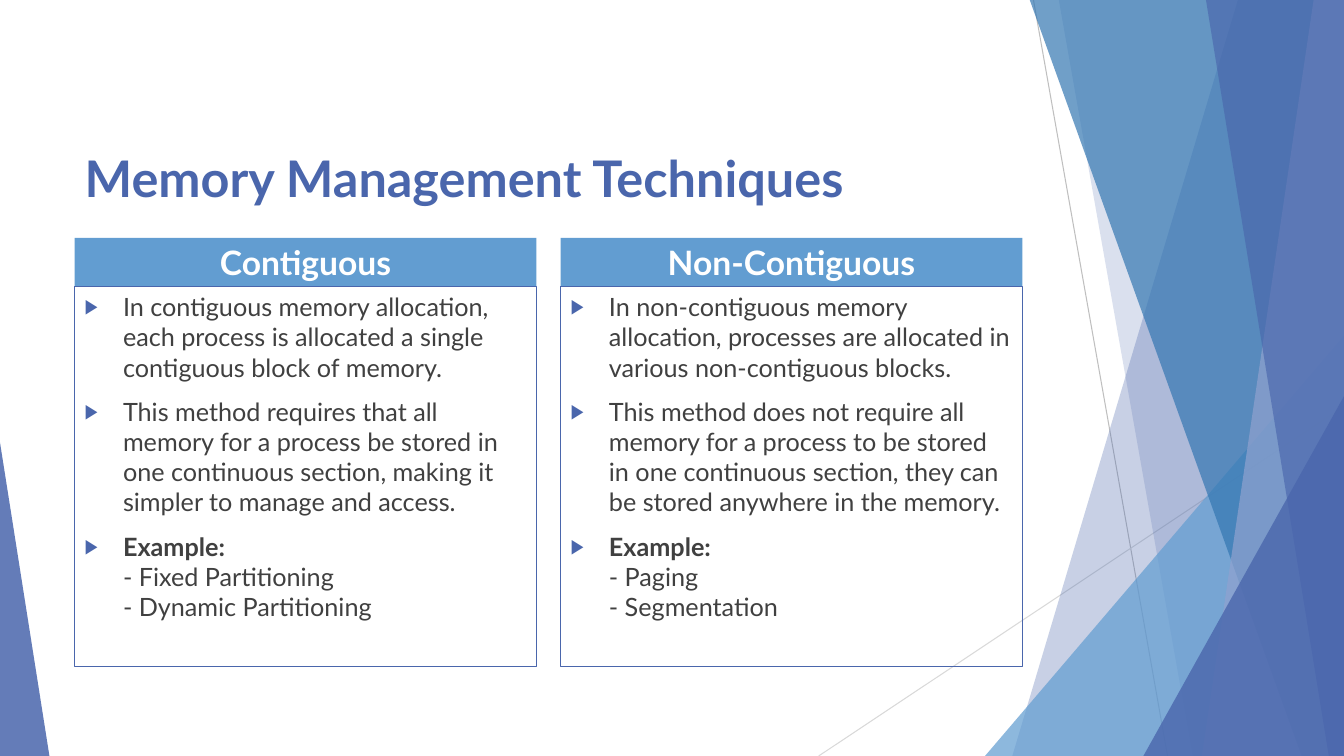
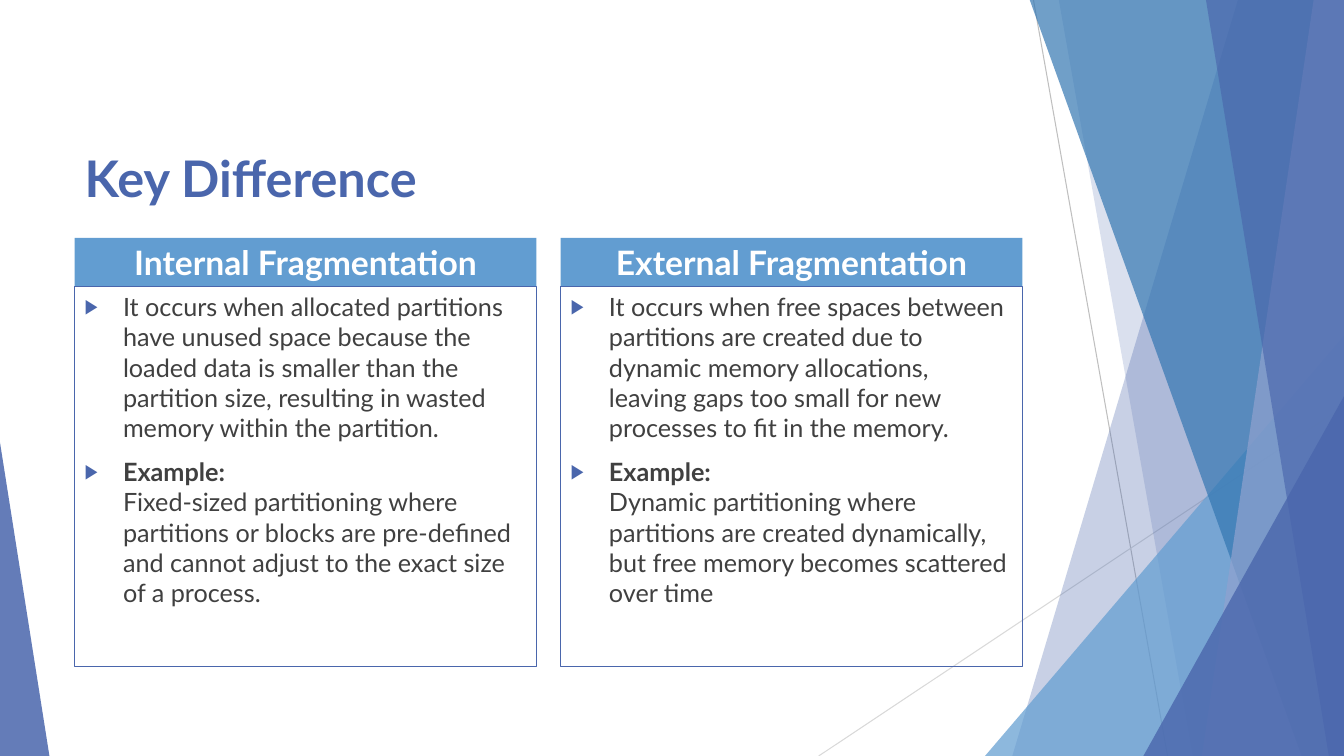
from lxml import etree
from pptx import Presentation
from pptx.dml.color import RGBColor
from pptx.enum.shapes import MSO_CONNECTOR, MSO_SHAPE
from pptx.enum.text import MSO_ANCHOR, MSO_AUTO_SIZE, PP_ALIGN
from pptx.oxml.ns import qn
from pptx.util import Inches, Pt

COLORS = {
    "blue": "4A66AC",
    "sky": "629DD1",
    "ocean": "3477B2",
    "lavender": "90A2CF",
    "text": "404040",
    "white": "FFFFFF",
    "gray": "BFBFBF",
    "light gray": "D9D9D9",
}
FONT = "Lato"
WIDTH, HEIGHT = 13.33, 7.5
BAND_TOP = -0.01
LEFT, COLUMN_WIDTH, COLUMN_STEP = 0.74, 4.58, 4.82
HEADING_TOP, HEADING_HEIGHT, LIST_HEIGHT = 2.36, 0.48, 3.77
LIST_SIZE = 18

# Bands: x at the top, x at the bottom. Triangles: left, top, width, apex.
FACETS = [
    ("band", (12.28, 10.04), "blue", 30),
    ("band", (10.5, 11.83), "blue", 20),
    ("triangle", (9.77, 3.33, 3.56, 1), "sky", 72),
    ("band", (10.21, 12.91), "ocean", 70),
    ("band", (13.03, 11.92), "lavender", 70),
    ("band", (11.96, 13.18), "blue", 65),
    ("triangle", (11.34, 3.93, 1.99, 1), "blue", 80),
    ("triangle", (0, 4.39, 0.49, 0), "blue", 85),
]
RAYS = [
    ((10.25, 0), (11.58, HEIGHT), "gray"),
    ((WIDTH, 4.03), (8.12, HEIGHT), "light gray"),
]

# Each slide: title, then columns of heading and list; \v breaks a line.
SLIDES = [
    ("Memory Management Techniques", [
        ("Contiguous", [
            "In contiguous memory allocation, each process is allocated a single "
            "contiguous block of memory.",
            "This method requires that all memory for a process be stored in one "
            "continuous section, making it simpler to manage and access.",
            "Example:\v- Fixed Partitioning\v- Dynamic Partitioning",
        ]),
        ("Non-Contiguous", [
            "In non-contiguous memory allocation, processes are allocated in "
            "various non-contiguous blocks.",
            "This method does not require all memory for a process to be stored in "
            "one continuous section, they can be stored anywhere in the memory.",
            "Example:\v- Paging\v- Segmentation",
        ]),
    ]),
    ("Key Difference", [
        ("Internal Fragmentation", [
            "It occurs when allocated partitions have unused space because the "
            "loaded data is smaller than the partition size, resulting in wasted "
            "memory within the partition.",
            "Example:\vFixed-sized partitioning where partitions or blocks are "
            "pre-defined and cannot adjust to the exact size of a process.",
        ]),
        ("External Fragmentation", [
            "It occurs when free spaces between partitions are created due to "
            "dynamic memory allocations, leaving gaps too small for new processes "
            "to fit in the memory.",
            "Example:\vDynamic partitioning where partitions are created "
            "dynamically, but free memory becomes scattered over time",
        ]),
    ]),
]


def color(name):
    return RGBColor.from_string(COLORS[name])


def fill_placeholder(shape, box, lines, size, color_name, bold, anchor, align):
    """Place a placeholder and give it formatted paragraphs."""
    shape.left, shape.top, shape.width, shape.height = map(Inches, box)
    text_frame = shape.text_frame
    text_frame.text = "\n".join(lines)
    text_frame.word_wrap = True
    text_frame.auto_size = MSO_AUTO_SIZE.NONE
    text_frame.vertical_anchor = anchor
    for paragraph in text_frame.paragraphs:
        paragraph.alignment = align
        for run in paragraph.runs:
            run.font.name = FONT
            run.font.size = Pt(size)
            run.font.bold = bold
            run.font.color.rgb = color(color_name)


presentation = Presentation()
presentation.slide_width = Inches(WIDTH)
presentation.slide_height = Inches(HEIGHT)
layout = presentation.slide_layouts.get_by_name("Comparison")

for slide_title, columns in SLIDES:
    slide = presentation.slides.add_slide(layout)
    fill_placeholder(slide.shapes.title, (LEFT, 0.67, 9.4, 1.44), [slide_title],
                     36, "blue", True, MSO_ANCHOR.BOTTOM, PP_ALIGN.LEFT)
    headings_and_lists = list(slide.placeholders)[1:]
    for index, (heading_text, items) in enumerate(columns):
        heading, bullet_list = headings_and_lists[2 * index:2 * index + 2]
        left = LEFT + index * COLUMN_STEP

        fill_placeholder(heading, (left, HEADING_TOP, COLUMN_WIDTH, HEADING_HEIGHT),
                         [heading_text], 24, "white", True,
                         MSO_ANCHOR.MIDDLE, PP_ALIGN.CENTER)
        heading.fill.solid()
        heading.fill.fore_color.rgb = color("sky")
        heading.text_frame.paragraphs[0].space_before = Pt(10)

        list_box = (left, HEADING_TOP + HEADING_HEIGHT, COLUMN_WIDTH, LIST_HEIGHT)
        fill_placeholder(bullet_list, list_box, items, LIST_SIZE, "text", False,
                         MSO_ANCHOR.TOP, PP_ALIGN.LEFT)
        bullet_list.line.color.rgb = color("blue")
        bullet_list.line.width = Pt(0.75)
        for line_break in bullet_list.element.iter(qn("a:br")):
            etree.SubElement(line_break, qn("a:rPr"), sz=str(LIST_SIZE * 100))
        for paragraph in bullet_list.text_frame.paragraphs:
            paragraph.space_before = Pt(10)
            properties = paragraph._p.get_or_add_pPr()
            properties.set("marL", str(Inches(0.38)))
            properties.set("indent", str(-Inches(0.38)))
            bullet_color = etree.SubElement(properties, qn("a:buClr"))
            etree.SubElement(bullet_color, qn("a:srgbClr"), val=COLORS["blue"])
            etree.SubElement(properties, qn("a:buSzPct"), val="80000")
            etree.SubElement(properties, qn("a:buChar"), char="▶")
            if paragraph.text.startswith("Example:"):
                paragraph.runs[0].font.bold = True

# Layouts cannot add shapes, so the backdrop is drawn on a slide and moved.
backdrop = presentation.slides[0].shapes.add_group_shape()
for start, end, color_name in RAYS:
    ray = backdrop.shapes.add_connector(
        MSO_CONNECTOR.STRAIGHT, *map(Inches, start + end))
    ray.line.color.rgb = color(color_name)
    ray.line.width = Pt(0.75)
    etree.SubElement(ray.element.spPr, qn("a:effectLst"))

for kind, geometry, color_name, opacity in FACETS:
    if kind == "band":
        top_x, bottom_x = geometry
        builder = backdrop.shapes.build_freeform(Inches(top_x), Inches(BAND_TOP))
        corners = [(WIDTH, BAND_TOP), (WIDTH, HEIGHT), (bottom_x, HEIGHT)]
        builder.add_line_segments([(Inches(x), Inches(y)) for x, y in corners])
        facet = builder.convert_to_shape()
    else:
        left, top, width, apex = geometry
        facet = backdrop.shapes.add_shape(
            MSO_SHAPE.ISOSCELES_TRIANGLE,
            *map(Inches, (left, top, width, HEIGHT - top)))
        facet.adjustments[0] = apex
    facet.shadow.inherit = False
    facet.line.fill.background()
    facet.fill.solid()
    facet.fill.fore_color.rgb = color(color_name)
    fill_color = facet.element.find(".//" + qn("a:srgbClr"))
    etree.SubElement(fill_color, qn("a:alpha"), val=str(opacity * 1000))

for number, properties in enumerate(backdrop.element.iter(qn("p:cNvPr")), start=100):
    properties.set("id", str(number))
layout.shapes.element.append(backdrop.element)

presentation.save("out.pptx")
